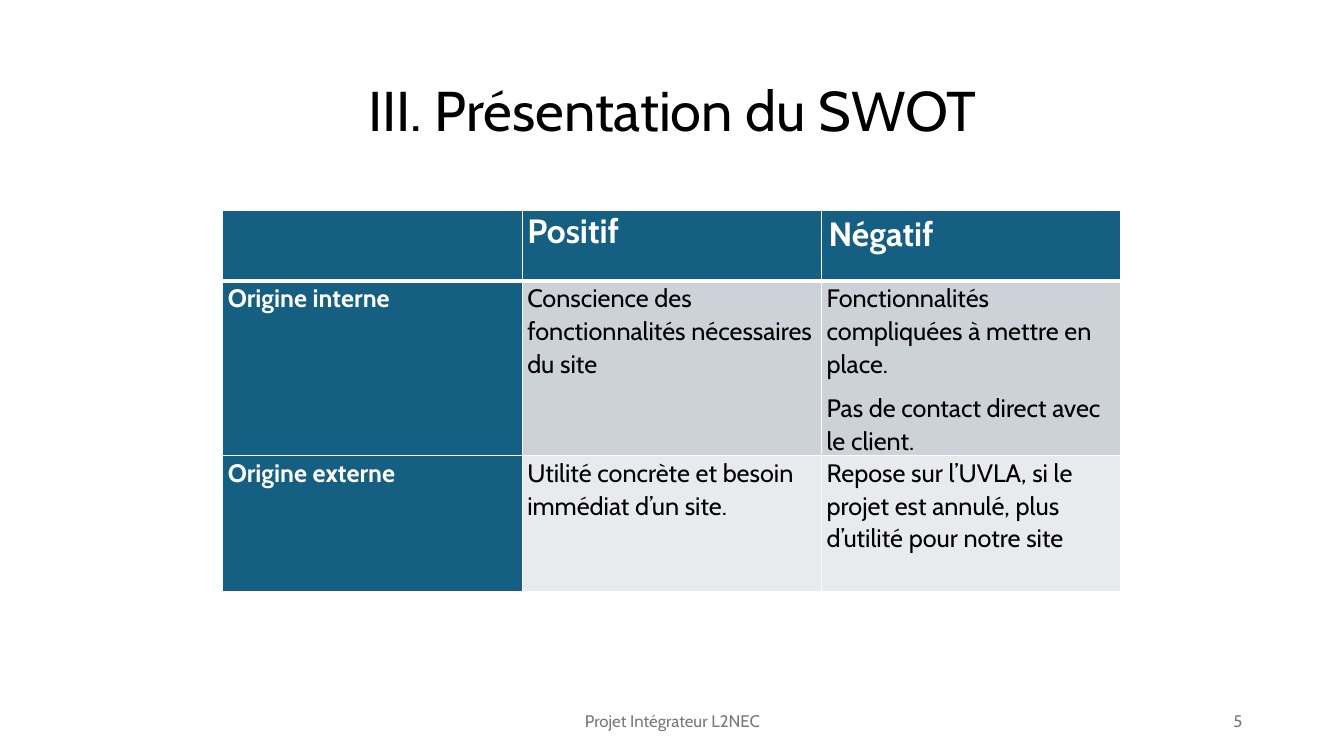
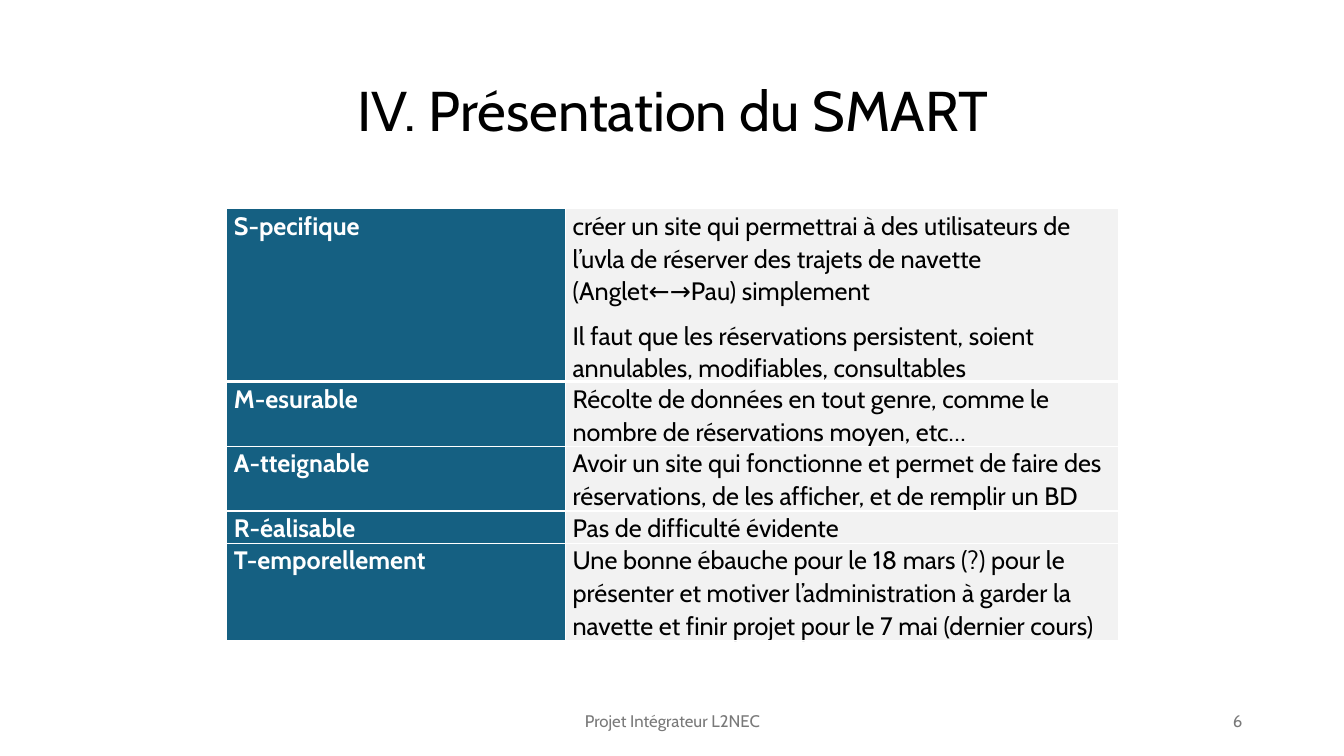
from dataclasses import dataclass

from lxml import etree
from pptx import Presentation
from pptx.dml.color import RGBColor
from pptx.enum import text
from pptx.oxml import ns
from pptx.util import Inches, Pt


@dataclass(frozen=True)
class Theme:
    font: str = "Cabin"
    black: str = "000000"
    white: str = "FFFFFF"
    blue: str = "156082"
    footer_grey: str = "797979"
    internal_grey: str = "CCD2D8"
    external_grey: str = "E8EAED"
    light_grey: str = "F2F2F2"
    title_size: int = 40
    header_size: int = 24
    body_size: int = 18
    footer_size: int = 12


theme = Theme()


def style_paragraph(paragraph, size, color, bold=False):
    paragraph.font.name = theme.font
    paragraph.font.size = Pt(size)
    paragraph.font.bold = bold
    paragraph.font.color.rgb = RGBColor.from_string(color)


def add_border(cell, side, width):
    properties = cell._tc.get_or_add_tcPr()
    line = etree.SubElement(properties, ns.qn(f"a:ln{side}"), w=str(Pt(width)))
    fill = etree.SubElement(line, ns.qn("a:solidFill"))
    etree.SubElement(fill, ns.qn("a:srgbClr"), val=theme.white)


slides = [
    {
        "title": "III. Présentation du SWOT",
        "number": "5",
        "origin": (2.21, 2.09),
        "columns": [2.97, 2.97, 2.97],
        "heights": [0.7, 1.73, 1.35],
        "inset": 0.05,
        "has_header": True,
        "fills": [theme.blue, theme.internal_grey, theme.external_grey],
        "rows": [
            ["", "Positif", "Négatif"],
            [
                "Origine interne",
                "Conscience des fonctionnalités nécessaires du site",
                "Fonctionnalités compliquées à mettre en place.\n"
                "Pas de contact direct avec le client.",
            ],
            [
                "Origine externe",
                "Utilité concrète et besoin immédiat d’un site.",
                "Repose sur l’UVLA, si le projet est annulé, plus d’utilité pour notre site",
            ],
        ],
        "cell_insets": {(0, 2): (0.07, 0.03)},
    },
    {
        "title": "IV. Présentation du SMART",
        "number": "6",
        "origin": (2.25, 2.07),
        "columns": [3.36, 5.48],
        "heights": [1.69, 0.62, 0.62, 0.31, 0.94],
        "inset": 0.07,
        "has_header": False,
        "fills": [theme.light_grey] * 5,
        "rows": [
            [
                "S-pecifique",
                "créer un site qui permettrai à des utilisateurs de l’uvla de réserver "
                "des trajets de navette (Anglet←→Pau) simplement\n"
                "Il faut que les réservations persistent, soient annulables, "
                "modifiables, consultables",
            ],
            [
                "M-esurable",
                "Récolte de données en tout genre, comme le nombre de réservations moyen, etc…",
            ],
            [
                "A-tteignable",
                "Avoir un site qui fonctionne et permet de faire des réservations, "
                "de les afficher, et de remplir un BD",
            ],
            ["R-éalisable", "Pas de difficulté évidente"],
            [
                "T-emporellement",
                "Une bonne ébauche pour le 18 mars (?) pour le présenter et motiver "
                "l’administration à garder la navette et finir projet pour le 7 mai "
                "(dernier cours)",
            ],
        ],
        "cell_insets": {},
    },
]

presentation = Presentation()
presentation.slide_width = Inches(13.33)
presentation.slide_height = Inches(7.5)
title_only = presentation.slide_layouts[5]

for content in slides:
    slide = presentation.slides.add_slide(title_only)

    title = slide.shapes.title
    title.left, title.top = Inches(0.92), Inches(0.4)
    title.width, title.height = Inches(11.5), Inches(1.45)
    title.text_frame.text = content["title"]
    title.text_frame.auto_size = text.MSO_AUTO_SIZE.NONE
    title.text_frame.vertical_anchor = text.MSO_ANCHOR.MIDDLE
    paragraph = title.text_frame.paragraphs[0]
    paragraph.alignment = text.PP_ALIGN.CENTER
    paragraph.line_spacing = 0.9
    style_paragraph(paragraph, theme.title_size, theme.black)

    for label, left, width, alignment in [
        ("Projet Intégrateur L2NEC", 4.42, 4.5, text.PP_ALIGN.CENTER),
        (content["number"], 9.42, 3, text.PP_ALIGN.RIGHT),
    ]:
        footer = slide.shapes.add_textbox(Inches(left), Inches(6.95), Inches(width), Inches(0.4))
        footer.text_frame.word_wrap = True
        footer.text_frame.vertical_anchor = text.MSO_ANCHOR.MIDDLE
        footer.text_frame.text = label
        paragraph = footer.text_frame.paragraphs[0]
        paragraph.alignment = alignment
        style_paragraph(paragraph, theme.footer_size, theme.footer_grey)

    left, top = content["origin"]
    columns, heights = content["columns"], content["heights"]
    table = slide.shapes.add_table(
        len(heights), len(columns),
        Inches(left), Inches(top), Inches(sum(columns)), Inches(sum(heights)),
    ).table
    table.first_col = True
    table.horz_banding = False
    for column, width in zip(table.columns, columns):
        column.width = Inches(width)
    for row, height in zip(table.rows, heights):
        row.height = Inches(height)

    for row_index, row_texts in enumerate(content["rows"]):
        is_header = content["has_header"] and row_index == 0
        for column_index, cell_text in enumerate(row_texts):
            cell = table.cell(row_index, column_index)
            is_label = is_header or column_index == 0
            side_inset, end_inset = content["cell_insets"].get(
                (row_index, column_index), (content["inset"], 0)
            )
            cell.margin_left = cell.margin_right = Inches(side_inset)
            cell.margin_top = cell.margin_bottom = Inches(end_inset)
            for side in "LRTB":
                touches_rule = (row_index, side) in [(0, "B"), (1, "T")]
                add_border(cell, side, 3 if touches_rule else 1)
            cell.fill.solid()
            cell.fill.fore_color.rgb = RGBColor.from_string(
                theme.blue if is_label else content["fills"][row_index]
            )
            cell.text_frame.text = cell_text
            for paragraph in cell.text_frame.paragraphs:
                style_paragraph(
                    paragraph,
                    theme.header_size if is_header else theme.body_size,
                    theme.white if is_label else theme.black,
                    is_label,
                )
                if not is_header:
                    paragraph.line_spacing = 1.07
                    paragraph.space_after = Pt(8)

presentation.save("out.pptx")
